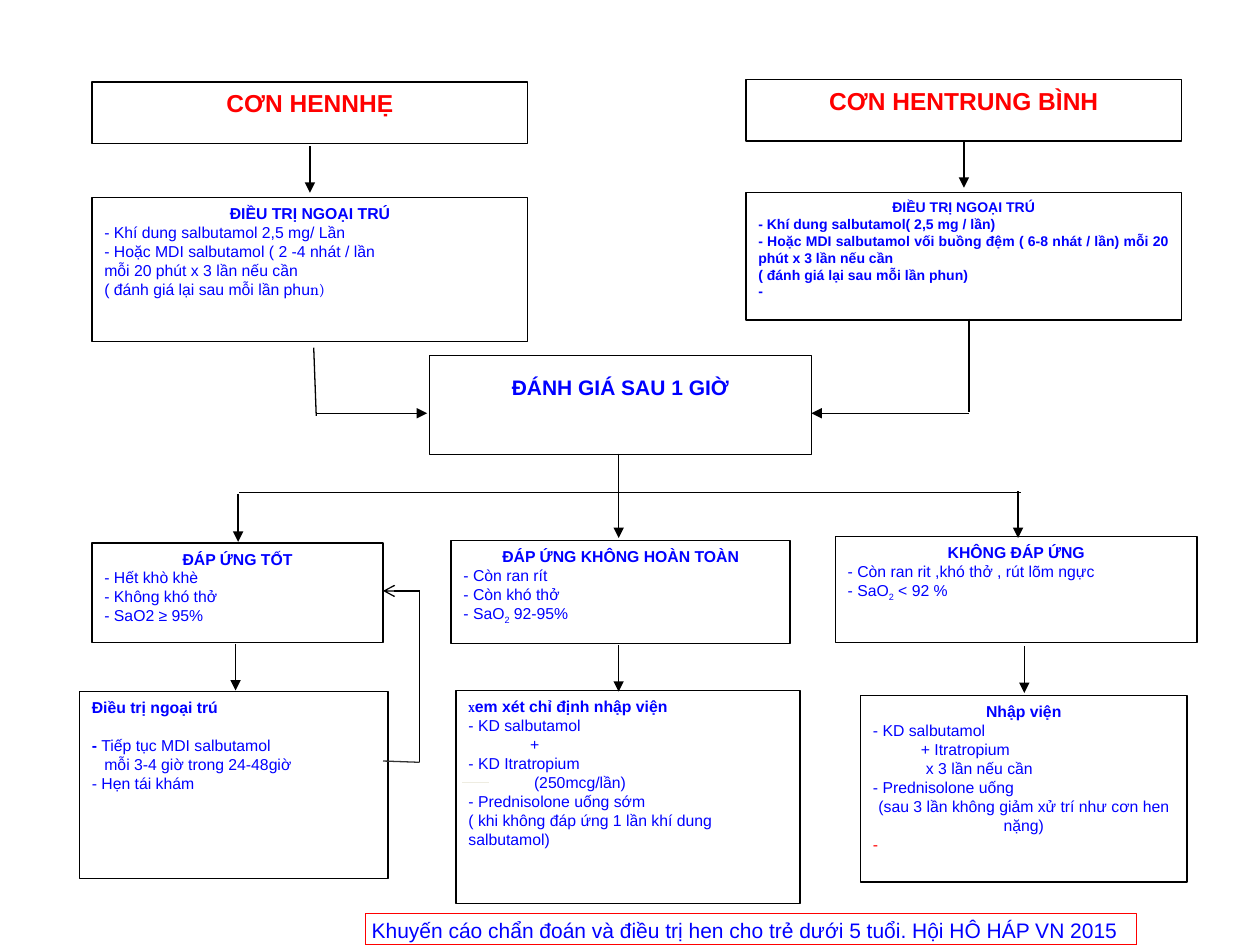
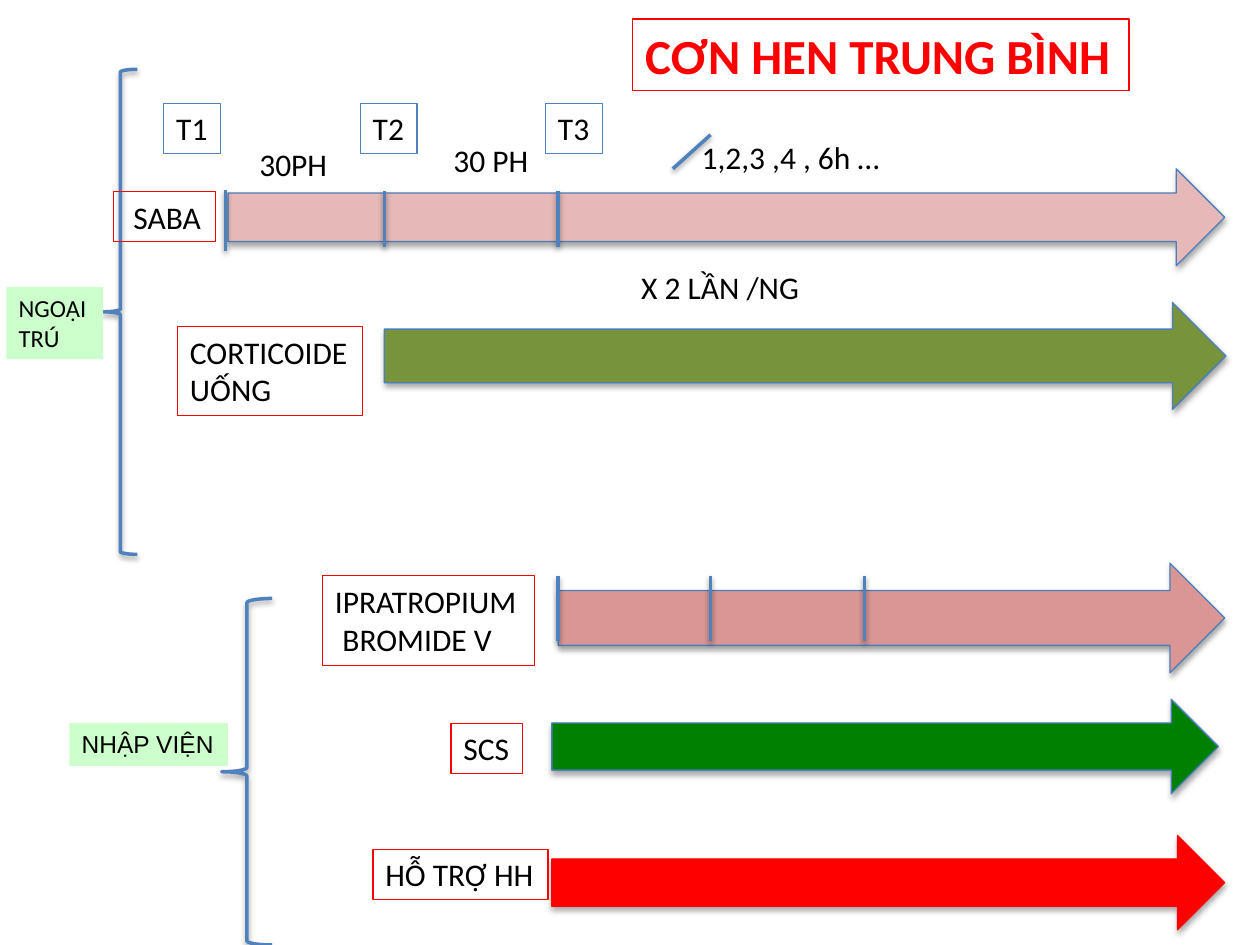
from lxml import etree
from pptx import Presentation
from pptx.dml.color import RGBColor
from pptx.enum.shapes import MSO_CONNECTOR, MSO_SHAPE
from pptx.enum.text import MSO_ANCHOR, MSO_AUTO_SIZE, PP_ALIGN
from pptx.oxml.ns import qn
from pptx.util import Inches, Pt

STRAIGHT = MSO_CONNECTOR.STRAIGHT
RIGHT_ARROW, LEFT_BRACE = MSO_SHAPE.RIGHT_ARROW, MSO_SHAPE.LEFT_BRACE
TOP = MSO_ANCHOR.TOP
GROW = MSO_AUTO_SIZE.SHAPE_TO_FIT_TEXT
LEFT, CENTER, JUSTIFY = PP_ALIGN.LEFT, PP_ALIGN.CENTER, PP_ALIGN.JUSTIFY

COLORS = {
    "white": "FFFFFF", "black": "000000", "red": "FF0000", "blue": "0000FF",
    "gray": "333333", "cream": "EEECE1", "accent": "4F81BD", "edge": "4B7EBC",
    "pink": "E6B9B8", "rose": "D99694", "olive": "77933C", "green": "008000",
    "mint": "CCFFCC",
}

BOLD = {"bold": True}
SMALL = {"size": 8, "bold": True}
GRADE = {"size": 14, "bold": True, "color": "red"}
SUB = {"baseline": -25000}


def line(*runs, align=LEFT, indent=0, before=0):
    return {"runs": runs, "align": align, "indent": indent, "before": before}


def heading(text, style=BOLD):
    return line((text, style), align=CENTER)


def justified(*texts, style=None):
    return [line((text, style or {}), align=JUSTIFY) for text in texts]


STEPS = [
    (0.73, 0.65, 3.46, 0.49, 0.05, [heading("CƠN HENNHẸ", GRADE)]),
    (5.92, 0.63, 3.46, 0.49, 0.05, [heading("CƠN HENTRUNG BÌNH", GRADE)]),
    (0.73, 1.57, 3.46, 1.14, 0.05, [
        heading("ĐIỀU TRỊ NGOẠI TRÚ"),
        *justified("- Khí dung salbutamol 2,5 mg/ Lần",
                   "- Hoặc MDI salbutamol ( 2 -4 nhát / lần",
                   "mỗi 20 phút x 3 lần nếu cần"),
        line("( đánh giá lại sau mỗi lần phu", ("n)", {"name": "Cambria"}), align=JUSTIFY),
    ]),
    (5.92, 1.53, 3.46, 1.01, 0.05, [
        heading("ĐIỀU TRỊ NGOẠI TRÚ", SMALL),
        *justified("- Khí dung salbutamol( 2,5 mg / lần)",
                   "- Hoặc MDI salbutamol vối buồng đệm ( 6-8 nhát / lần) mỗi 20 phút x 3 lần nếu cần",
                   "( đánh giá lại sau mỗi lần phun)", "-", style=SMALL),
    ]),
    (3.41, 2.82, 3.03, 0.79, 0.15, [
        heading("ĐÁNH GIÁ SAU 1 GIỜ", {"size": 12, "bold": True})]),
    (0.73, 4.31, 2.31, 0.79, 0.05, [
        heading("ĐÁP ỨNG TỐT"),
        line("- Hết khò khè"), line("- Không khó thở"), line("- SaO2 ≥ 95%")]),
    (3.58, 4.29, 2.69, 0.82, 0.05, [
        heading("ĐÁP ỨNG KHÔNG HOÀN TOÀN"),
        line("- Còn ran rít"), line("- Còn khó thở"),
        line("- SaO", ("2", SUB), " 92-95%")]),
    (6.63, 4.26, 2.87, 0.84, 0.05, [
        heading("KHÔNG ĐÁP ỨNG"),
        line("- Còn ran rit ,khó thở , rút lõm ngực"),
        line("- SaO", ("2", SUB), " < 92 %")]),
    (0.63, 5.49, 2.45, 1.48, 0.05, [
        line(("Điều trị ngoại trú", BOLD)),
        line(("- ", BOLD), "Tiếp tục MDI salbutamol", before=10.8),
        line("mỗi 3-4 giờ trong 24-48giờ", indent=0.1),
        line("- Hẹn tái khám")]),
    (3.62, 5.48, 2.73, 1.69, 0.05, [
        line(("X", {"size": 6, "name": "Cambria", "bold": True}),
             ("em xét chỉ định nhập viện", BOLD)),
        line("- KD salbutamol"), line("+", indent=0.49),
        line("- KD Itratropium"), line("(250mcg/lần)", indent=0.52),
        line("- Prednisolone uống sớm"),
        line("( khi không đáp ứng 1 lần khí dung salbutamol)")]),
    (6.83, 5.52, 2.59, 1.48, 0.05, [
        heading("Nhập viện"),
        line("- KD salbutamol"), line("+ Itratropium", indent=0.38),
        line("x 3 lần nếu cần", indent=0.42), line("- Prednisolone uống"),
        line("(sau 3 lần không giảm xử trí như cơn hen nặng)", align=CENTER),
        line(("-", {"color": "red"}))]),
]
FLOW_ARROWS = [
    (2.46, 1.16, 2.46, 1.53), (7.65, 1.12, 7.65, 1.49),
    (2.52, 3.28, 3.39, 3.28), (7.69, 3.28, 6.44, 3.28),
    (4.91, 3.6, 4.91, 4.27), (1.89, 3.92, 1.89, 4.3), (8.08, 3.9, 8.08, 4.27),
    (1.87, 5.11, 1.87, 5.48), (4.91, 5.12, 4.91, 5.49), (8.13, 5.13, 8.13, 5.5),
]
FLOW_LINES = [
    (2.49, 2.76, 2.51, 3.3, "black"), (7.69, 2.53, 7.69, 3.27, "black"),
    (1.9, 3.91, 8.1, 3.91, "black"), (3.33, 4.69, 3.33, 6.05, "black"),
    (3.04, 6.04, 3.33, 6.05, "gray"), (3.67, 6.21, 3.88, 6.21, "cream"),
]
RETURN_ARROW = (3.33, 4.69, 3.04, 4.69)
CITATION = "Khuyến cáo chẩn đoán và điều trị hen cho trẻ dưới 5 tuổi. Hội HÔ HÁP VN 2015"

TITLE = "CƠN HEN TRUNG BÌNH"
TREATMENTS = [
    (1.81, 1.34, 7.91, 0.77, "pink", "edge"),
    (3.05, 2.4, 6.68, 0.85, "olive", "edge"),
    (4.43, 4.47, 5.29, 0.87, "rose", "edge"),
    (4.38, 5.55, 5.29, 0.75, "green", "edge"),
    (4.38, 6.63, 5.34, 0.75, "red", "red"),
]
DRUGS = [
    (0.9, 1.52, 0.81, 0.4, [line("SABA", indent=0.06)]),
    (1.41, 2.59, 1.47, 0.71, [line("CORTICOIDE"), line("UỐNG")]),
    (2.56, 4.57, 1.68, 0.71, [line("IPRATROPIUM"), line("BROMIDE V", indent=0.06)]),
    (3.58, 5.74, 0.57, 0.4, [line("SCS")]),
    (2.96, 6.74, 1.39, 0.4, [line("HỖ TRỢ HH")]),
]
DOSES = [(1.3, "T1"), (2.86, "T2"), (4.33, "T3")]
INTERVALS = [
    (1.96, 1.1, 0.75, "30PH"), (3.5, 1.07, 0.8, "30 PH"),
    (5.47, 1.05, 1.67, "1,2,3 ,4 , 6h …"), (4.99, 2.08, 1.52, "X 2 LẦN /NG"),
]
TICKS = [(1.79, 1.51, 1.79, 1.99), (5.64, 1.07, 5.34, 1.34)]
TICKS += [(x, 1.52, x, 1.96) for x in (3.05, 4.43)]
TICKS += [(x, 4.57, x, 5.09) for x in (4.43, 5.64, 6.86)]
BRACES = [(0.82, 0.55, 0.27, 3.85), (1.76, 4.75, 0.4, 2.75)]
SETTINGS = [
    (0.05, 2.28, 0.77, 0.57, [line("NGOẠI"), line("TRÚ")], "Calibri", True),
    (0.55, 5.74, 1.26, 0.34, [line("NHẬP VIỆN")], "Arial", False),
]

FLOW_TEXT = {"name": "Arial", "size": 9, "color": "blue", "bold": False}
CHART_TEXT = {"name": "Calibri", "size": 18, "color": "black", "bold": False}


def rgb(name):
    return RGBColor.from_string(COLORS[name])


def outline(shape, color, width=0.75):
    shape.line.color.rgb = rgb(color)
    shape.line.width = Pt(width)


def write(frame, lines, base):
    for index, content in enumerate(lines):
        paragraph = frame.add_paragraph() if index else frame.paragraphs[0]
        paragraph.alignment = content["align"]
        paragraph.space_before = Pt(content["before"])
        if content["indent"]:
            paragraph._p.get_or_add_pPr().set("marL", str(Inches(content["indent"])))
        for piece in content["runs"]:
            text, changes = (piece, {}) if isinstance(piece, str) else piece
            style = {**base, **changes}
            run = paragraph.add_run()
            run.text = text
            run.font.color.rgb = rgb(style.pop("color"))
            if "baseline" in style:
                run._r.get_or_add_rPr().set("baseline", str(style.pop("baseline")))
            style["size"] = Pt(style["size"])
            for attribute, value in style.items():
                setattr(run.font, attribute, value)


def add_box(slide, place, lines, base, fill=None, edge=None, wrap=True,
            insets=(0.1, 0.05, 0.1, 0.05)):
    box = slide.shapes.add_textbox(*map(Inches, place))
    if fill:
        box.fill.solid()
        box.fill.fore_color.rgb = rgb(fill)
    if edge:
        outline(box, edge)
    frame = box.text_frame
    frame.word_wrap = wrap
    if not wrap:
        frame.auto_size = GROW
    for side, inset in zip(("left", "top", "right", "bottom"), insets):
        setattr(frame, f"margin_{side}", Inches(inset))
    write(frame, lines, base)


def add_line(slide, ends, color="black", width=0.75, tip=None, shadow=False):
    connector = slide.shapes.add_connector(STRAIGHT, *map(Inches, ends))
    outline(connector, color, width)
    properties = connector._element.spPr
    if tip:
        etree.SubElement(properties.find(qn("a:ln")), qn("a:tailEnd"), type=tip)
    if not shadow:
        etree.SubElement(properties, qn("a:effectLst"))


def build_flow(slide):
    for *place, top, lines in STEPS:
        add_box(slide, place, lines, FLOW_TEXT, "white", "black",
                insets=(0.1, top, 0.1, 0.05))
    for ends in FLOW_ARROWS:
        add_line(slide, ends, tip="triangle")
    for *ends, color in FLOW_LINES:
        add_line(slide, ends, color)
    add_line(slide, RETURN_ARROW, tip="arrow")
    add_box(slide, (2.9, 7.25, 6.12, 0.25), [line(CITATION)], {**FLOW_TEXT, "size": 12},
            edge="red", insets=(0.05, 0.03, 0.05, 0.03))


def build_timeline(slide):
    title = slide.shapes.title
    for side, value in zip(("left", "top", "width", "height"), (5.02, 0.15, 3.94, 0.57)):
        setattr(title, side, Inches(value))
    outline(title, "red")
    title.text_frame.vertical_anchor = TOP
    title.text_frame.auto_size = MSO_AUTO_SIZE.NONE
    write(title.text_frame, [line(TITLE)],
          {**CHART_TEXT, "size": 28, "color": "red", "bold": True})
    for *place, fill, edge in TREATMENTS:
        arrow = slide.shapes.add_shape(RIGHT_ARROW, *map(Inches, place))
        arrow.fill.solid()
        arrow.fill.fore_color.rgb = rgb(fill)
        outline(arrow, edge)
    for ends in TICKS:
        add_line(slide, ends, "accent", 2, shadow=True)
    for place in BRACES:
        brace = slide.shapes.add_shape(LEFT_BRACE, *map(Inches, place))
        brace.fill.background()
        outline(brace, "accent", 2)
    for *place, lines in DRUGS:
        add_box(slide, place, lines, CHART_TEXT, edge="red", wrap=False)
    for left, dose in DOSES:
        add_box(slide, (left, 0.82, 0.45, 0.4), [line(dose)], CHART_TEXT,
                edge="accent", wrap=False)
    for left, top, width, interval in INTERVALS:
        add_box(slide, (left, top, width, 0.4), [line(interval)], CHART_TEXT, wrap=False)
    for *place, lines, font, wrap in SETTINGS:
        add_box(slide, place, lines, {**CHART_TEXT, "name": font, "size": 14},
                fill="mint", wrap=wrap)


def main():
    deck = Presentation()
    deck.slide_width, deck.slide_height = Inches(10), Inches(7.5)
    build_flow(deck.slides.add_slide(deck.slide_layouts[6]))
    build_timeline(deck.slides.add_slide(deck.slide_layouts[5]))
    deck.save("out.pptx")


if __name__ == "__main__":
    main()
